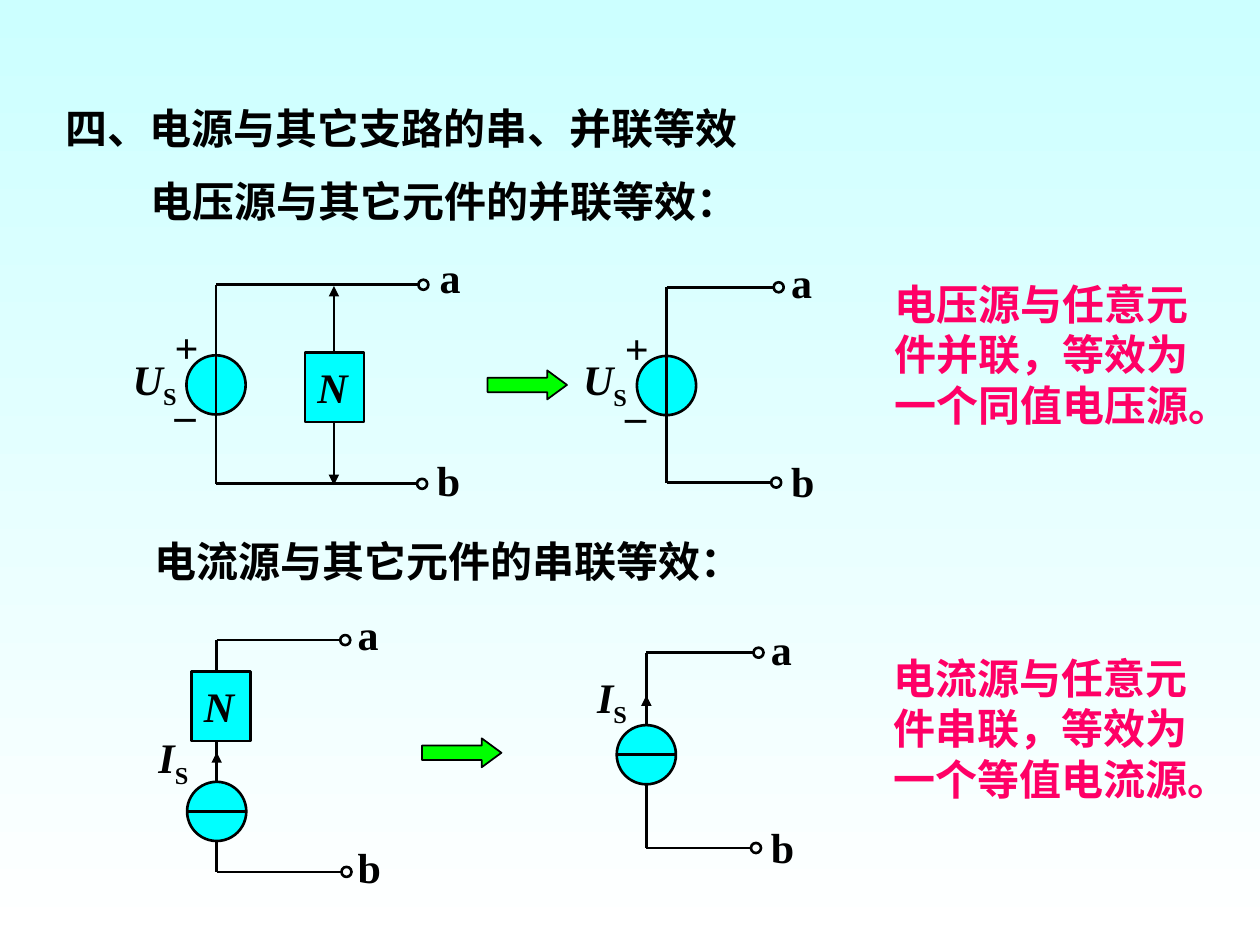
from dataclasses import dataclass

from lxml import etree
from pptx import Presentation
from pptx.dml.color import RGBColor
from pptx.enum.shapes import MSO_CONNECTOR, MSO_SHAPE
from pptx.enum.text import MSO_ANCHOR, MSO_AUTO_SIZE, PP_ALIGN
from pptx.oxml.ns import qn
from pptx.shapes.group import GroupShape
from pptx.util import Inches, Pt

LEFT, CENTER = PP_ALIGN.LEFT, PP_ALIGN.CENTER
TOP, MIDDLE = MSO_ANCHOR.TOP, MSO_ANCHOR.MIDDLE
OVAL, BOX, ARROW = MSO_SHAPE.OVAL, MSO_SHAPE.RECTANGLE, MSO_SHAPE.RIGHT_ARROW


@dataclass(frozen=True)
class Theme:
    font: str = "Times New Roman"
    text_size: Pt = Pt(24)
    wire_width: Pt = Pt(1.5)
    arrow_width: Pt = Pt(1)
    ink: RGBColor = RGBColor(0, 0, 0)
    conclusion: RGBColor = RGBColor(0xFF, 0x00, 0x66)
    element: RGBColor = RGBColor(0x00, 0xFF, 0xFF)
    arrow: RGBColor = RGBColor(0x00, 0xFF, 0x00)
    background_top: RGBColor = RGBColor(0xCC, 0xFF, 0xFF)
    background_bottom: RGBColor = RGBColor(0xFF, 0xFF, 0xFF)


THEME = Theme()
SOURCE_RADIUS = 0.235
TERMINAL_RADIUS = 0.04
ELEMENT_WIDTH, ELEMENT_HEIGHT = 0.47, 0.55


@dataclass(frozen=True)
class Terminal:
    name: str
    x: float
    y: float
    label_left: float
    label_top: float


@dataclass(frozen=True)
class Circuit:
    stem_x: float
    source_y: float
    terminals: tuple[Terminal, Terminal]


@dataclass(frozen=True)
class TextBlock:
    text: str
    left: float
    top: float
    width: float
    height: float
    color: RGBColor = THEME.ink
    anchor: MSO_ANCHOR = TOP
    line_spacing: float = 1.0


# Basic drawing functions
def add_text(shapes, block: TextBlock, align=LEFT, wrap: bool = True):
    box = shapes.add_textbox(Inches(block.left), Inches(block.top),
                             Inches(block.width), Inches(block.height))
    frame = box.text_frame
    frame.text = block.text
    frame.word_wrap = wrap
    frame.auto_size = MSO_AUTO_SIZE.NONE
    frame.vertical_anchor = block.anchor
    paragraph = frame.paragraphs[0]
    paragraph.alignment = align
    paragraph.line_spacing = block.line_spacing
    format_run(paragraph.runs[0], block.color)
    return paragraph


def format_run(run, color: RGBColor = THEME.ink) -> None:
    run.font.name = THEME.font
    run.font.size = THEME.text_size
    run.font.bold = True
    run.font.color.rgb = color


def add_symbol(shapes, letter: str, left: float, top: float, width: float,
               height: float = 0.5, subscript: str = "") -> None:
    paragraph = add_text(shapes, TextBlock(letter, left, top, width, height))
    paragraph.runs[0].font.italic = True
    if subscript:
        run = paragraph.add_run()
        run.text = subscript
        format_run(run)
        run.font._element.set("baseline", "-25000")


def add_shape(shapes, kind, left: float, top: float, width: float, height: float,
              fill: RGBColor | None = None, line_width: Pt = THEME.wire_width):
    shape = shapes.add_shape(kind, Inches(left), Inches(top), Inches(width), Inches(height))
    shape.shadow.inherit = False
    if fill is None:
        shape.fill.background()
    else:
        shape.fill.solid()
        shape.fill.fore_color.rgb = fill
    shape.line.color.rgb = THEME.ink
    shape.line.width = line_width
    return shape


def add_circle(shapes, x: float, y: float, radius: float, fill: RGBColor | None = None) -> None:
    add_shape(shapes, OVAL, x - radius, y - radius, 2 * radius, 2 * radius, fill)


def add_wire(shapes, x1: float, y1: float, x2: float, y2: float, arrows: tuple[str, ...] = ()) -> None:
    wire = shapes.add_connector(MSO_CONNECTOR.STRAIGHT, Inches(x1), Inches(y1), Inches(x2), Inches(y2))
    wire.line.color.rgb = THEME.ink
    wire.line.width = THEME.wire_width
    line = wire.line._get_or_add_ln()
    for end in arrows:
        etree.SubElement(line, qn(f"a:{end}"), type="triangle")
    etree.SubElement(wire._element.spPr, qn("a:effectLst"))


# Circuit parts
def add_stem(group: GroupShape, circuit: Circuit) -> None:
    upper, lower = circuit.terminals
    add_wire(group.shapes, circuit.stem_x, upper.y, circuit.stem_x, lower.y)


def add_terminals(group: GroupShape, circuit: Circuit) -> None:
    for terminal in circuit.terminals:
        add_wire(group.shapes, circuit.stem_x, terminal.y, terminal.x - TERMINAL_RADIUS, terminal.y)
        add_circle(group.shapes, terminal.x, terminal.y, TERMINAL_RADIUS)
        add_text(group.shapes, TextBlock(terminal.name, terminal.label_left, terminal.label_top,
                                         0.34, 0.5), CENTER)


def add_element(group: GroupShape, left: float, top: float) -> None:
    add_shape(group.shapes, BOX, left, top, ELEMENT_WIDTH, ELEMENT_HEIGHT, THEME.element)
    add_symbol(group.shapes, "N", left, top + 0.02, 0.67)


def add_voltage_circuit(slide, circuit: Circuit) -> GroupShape:
    group = slide.shapes.add_group_shape()
    x, y = circuit.stem_x, circuit.source_y
    add_circle(group.shapes, x, y, SOURCE_RADIUS, THEME.element)
    add_stem(group, circuit)
    add_text(group.shapes, TextBlock("+", x - 0.43, y - 0.55, 0.39, 0.5, anchor=MIDDLE), CENTER, False)
    add_text(group.shapes, TextBlock("_", x - 0.43, y - 0.13, 0.37, 0.5, anchor=MIDDLE), CENTER)
    add_symbol(group.shapes, "U", x - 0.76, y - 0.3, 0.73, 0.56, "S")
    add_terminals(group, circuit)
    return group


def add_current_circuit(slide, circuit: Circuit, label_left: float, label_top: float) -> GroupShape:
    group = slide.shapes.add_group_shape()
    x, y = circuit.stem_x, circuit.source_y
    add_stem(group, circuit)
    add_terminals(group, circuit)
    add_wire(group.shapes, x, y - 2 * SOURCE_RADIUS, x, y - SOURCE_RADIUS, ("headEnd",))
    add_circle(group.shapes, x, y, SOURCE_RADIUS, THEME.element)
    add_wire(group.shapes, x - SOURCE_RADIUS, y, x + SOURCE_RADIUS, y)
    add_symbol(group.shapes, "I", label_left, label_top, 0.6, 0.56, "S")
    return group


# Slide content
TEXT_BLOCKS = (
    TextBlock("四、电源与其它支路的串、并联等效", 0.42, 0.72, 9.06, 0.58, anchor=MIDDLE),
    TextBlock("电压源与其它元件的并联等效：", 1.1, 1.39, 8, 0.37, line_spacing=0.9),
    TextBlock("电流源与其它元件的串联等效：", 1.13, 4.2, 6.83, 0.42),
    TextBlock("电压源与任意元件并联，等效为一个同值电压源。", 7, 2.16, 2.54, 1.3, THEME.conclusion),
    TextBlock("电流源与任意元件串联，等效为一个等值电流源。", 6.99, 5.13, 2.54, 1.3, THEME.conclusion),
)
EQUIVALENCE_ARROWS = ((3.87, 2.94), (3.35, 5.86))
PARALLEL = Circuit(1.715, 3.055, (Terminal("a", 3.36, 2.26, 3.39, 1.95), Terminal("b", 3.35, 3.84, 3.37, 3.56)))
VOLTAGE_ONLY = Circuit(5.29, 3.06, (Terminal("a", 6.18, 2.28, 6.18, 1.99), Terminal("b", 6.16, 3.83, 6.18, 3.57)))
SERIES = Circuit(1.72, 6.44, (Terminal("a", 2.74, 5.08, 2.74, 4.78), Terminal("b", 2.75, 6.92, 2.74, 6.63)))
CURRENT_ONLY = Circuit(5.13, 5.99, (Terminal("a", 6.02, 5.18, 6.02, 4.9), Terminal("b", 6, 6.73, 6.02, 6.47)))


def main() -> None:
    presentation = Presentation()
    presentation.slide_width, presentation.slide_height = Inches(10), Inches(7.5)
    slide = presentation.slides.add_slide(presentation.slide_layouts[6])

    # Background, from top to bottom
    fill = slide.background.fill
    fill.gradient()
    fill.gradient_angle = 270
    for stop, color in zip(fill.gradient_stops, (THEME.background_top, THEME.background_bottom)):
        stop.color.rgb = color

    # Headings, conclusions and equivalence arrows
    for block in TEXT_BLOCKS:
        add_text(slide.shapes, block)
    for left, top in EQUIVALENCE_ARROWS:
        arrow = add_shape(slide.shapes, ARROW, left, top, 0.63, 0.23, THEME.arrow, THEME.arrow_width)
        arrow.adjustments[1] = 0.68

    # Voltage source circuits
    parallel = add_voltage_circuit(slide, PARALLEL)
    add_wire(parallel.shapes, 2.65, 2.27, 2.65, 3.85, ("headEnd", "tailEnd"))
    add_element(parallel, 2.42, 2.8)
    add_voltage_circuit(slide, VOLTAGE_ONLY)

    # Current source circuits
    series = add_current_circuit(slide, SERIES, 1.16, 5.76)
    add_element(series, 1.52, 5.33)
    add_current_circuit(slide, CURRENT_ONLY, 4.64, 5.28)

    presentation.save("out.pptx")


if __name__ == "__main__":
    main()
